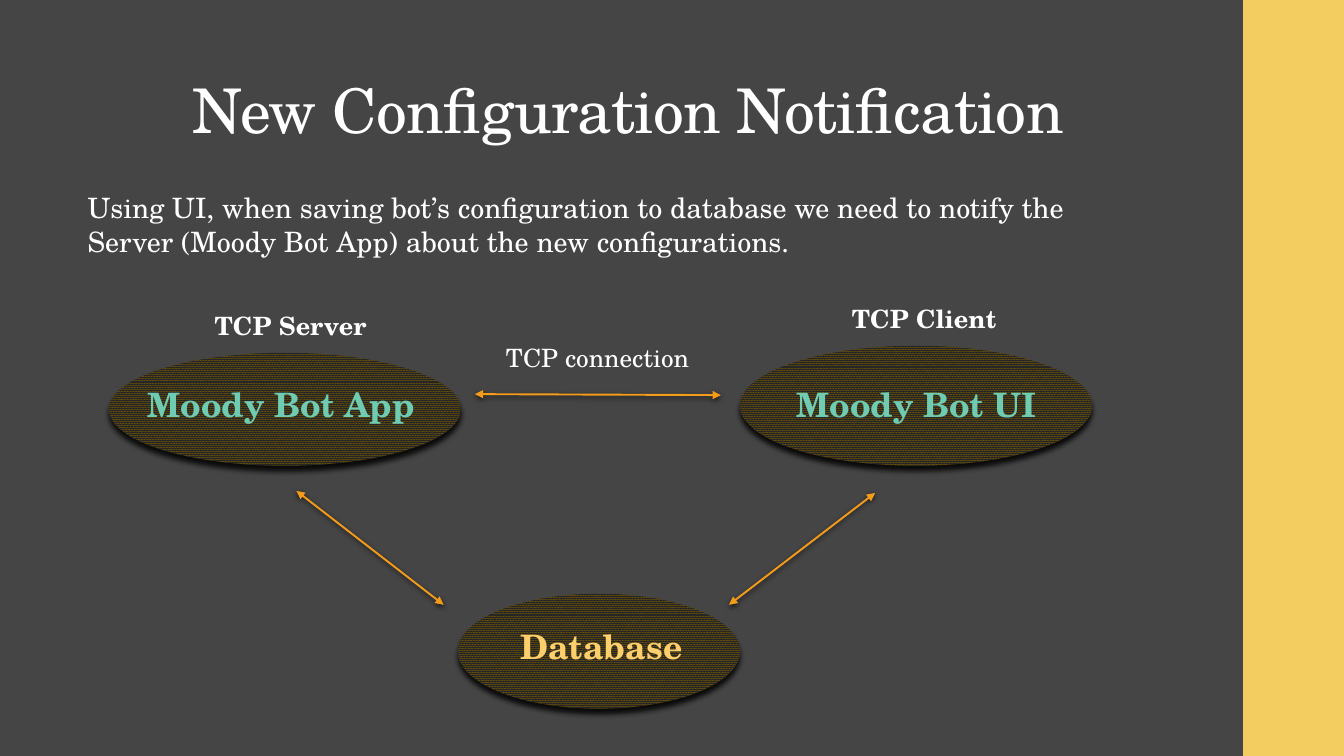
from lxml import etree
from pptx import Presentation
from pptx import util as u
from pptx.dml.color import RGBColor
from pptx.enum import dml, shapes, text
from pptx.oxml.ns import qn

COLORS = {
    "background": "454545",
    "band": "F3CD60",
    "white": "FFFFFF",
    "arrow": "FFA219",
    "pattern_front": "262626",
    "pattern_back": "695008",
    "teal": "6FCBB1",
    "gold": "FDCF6C",
    "shadow": "000000",
}


class SlideBuilder:
    """Draws the elements of one slide in a shared style."""

    font_name = "TeX Gyre Schola"

    def __init__(self, page):
        self.page = page
        fill = page.background.fill
        fill.solid()
        fill.fore_color.rgb = self.color("background")

    def color(self, name):
        return RGBColor.from_string(COLORS[name])

    def cast_shadow(self, effects, opacity, blur, distance):
        shadow = etree.SubElement(
            effects, qn("a:outerShdw"), blurRad=str(u.Pt(blur)), dist=str(u.Pt(distance)),
            dir=str(90 * 60000), algn="ctr", rotWithShape="0")
        tint = etree.SubElement(shadow, qn("a:srgbClr"), val=COLORS["shadow"])
        etree.SubElement(tint, qn("a:alpha"), val=str(opacity * 1000))

    def shape(self, kind, left, top, width, height):
        shape = self.page.shapes.add_shape(
            kind, u.Inches(left), u.Inches(top), u.Inches(width), u.Inches(height))
        shape.shadow.inherit = False
        shape.line.fill.background()
        return shape

    def band(self, *place):
        band = self.shape(shapes.MSO_SHAPE.RECTANGLE, *place)
        band.fill.solid()
        band.fill.fore_color.rgb = self.color("band")

    def node(self, *place):
        node = self.shape(shapes.MSO_SHAPE.OVAL, *place)
        node.fill.patterned()
        node.fill.pattern = dml.MSO_PATTERN.PERCENT_90
        node.fill.fore_color.rgb = self.color("pattern_front")
        node.fill.back_color.rgb = self.color("pattern_back")
        effects = node._element.spPr.find(qn("a:effectLst"))
        self.cast_shadow(effects, 86, 4, 4)

    def arrow(self, x1, y1, x2, y2):
        arrow = self.page.shapes.add_connector(
            shapes.MSO_CONNECTOR.STRAIGHT,
            u.Inches(x1), u.Inches(y1), u.Inches(x2), u.Inches(y2))
        arrow.line.width = u.Pt(1.35)
        arrow.line.color.rgb = self.color("arrow")
        properties = arrow._element.spPr
        line = properties.find(qn("a:ln"))
        etree.SubElement(line.find(".//" + qn("a:srgbClr")), qn("a:alpha"), val="95000")
        for end in ("a:headEnd", "a:tailEnd"):
            etree.SubElement(line, qn(end), type="triangle")
        self.cast_shadow(etree.SubElement(properties, qn("a:effectLst")), 75, 4, 1.2)

    def label(self, words, place, size, color="white", bold=False, centered=False,
              bottom=False, wrap=True, line_spacing=None, tracking=None):
        box = self.page.shapes.add_textbox(*map(u.Inches, place))
        frame = box.text_frame
        frame.word_wrap = wrap
        if bottom:
            frame.vertical_anchor = text.MSO_ANCHOR.BOTTOM
        para = frame.paragraphs[0]
        para.text = words
        if centered:
            para.alignment = text.PP_ALIGN.CENTER
        if line_spacing:
            para.line_spacing = line_spacing
        font = para.font
        font.name = self.font_name
        font.size = u.Pt(size)
        font.bold = bold
        font.color.rgb = self.color(color)
        if tracking:
            para._p.pPr.find(qn("a:defRPr")).set("spc", str(round(tracking * 100)))


def main():
    deck = Presentation()
    deck.slide_width = u.Inches(13.33)
    deck.slide_height = u.Inches(7.5)
    slide = SlideBuilder(deck.slides.add_slide(deck.slide_layouts[6]))

    slide.band(12.33, 0, 1, 7.5)
    slide.label("New Configuration Notification", (1.81, 0.4, 10.17, 1.11), 44,
                bottom=True, line_spacing=0.9, tracking=-0.5)
    slide.label("Using UI, when saving bot’s configuration to database we need to notify "
                "the Server (Moody Bot App) about the new configurations.",
                (0.77, 1.84, 10.65, 0.77), 20)

    slide.node(1.08, 3.5, 3.49, 1.12)
    slide.node(7.34, 3.43, 3.49, 1.19)
    slide.node(4.54, 5.89, 2.8, 1.14)
    for name, left in (("Moody Bot App", 1.21), ("Moody Bot UI", 7.51)):
        slide.label(name, (left, 3.76, 3.16, 0.5), 24, "teal", bold=True, centered=True)
    slide.label("Database", (5.06, 6.19, 2.13, 0.61), 24, "gold", bold=True,
                line_spacing=0.95, tracking=0.1)

    slide.arrow(4.71, 3.91, 7.15, 3.92)
    slide.arrow(2.94, 4.87, 4.4, 6)
    slide.arrow(8.68, 4.89, 7.23, 6)

    slide.label("TCP connection", (4.92, 3.35, 2.28, 0.4), 18)
    slide.label("TCP Server", (2.03, 3.03, 1.81, 0.4), 18, bold=True)
    slide.label("TCP Client", (8.35, 2.96, 1.65, 0.4), 18, bold=True, wrap=False)

    deck.save("out.pptx")


if __name__ == "__main__":
    main()
